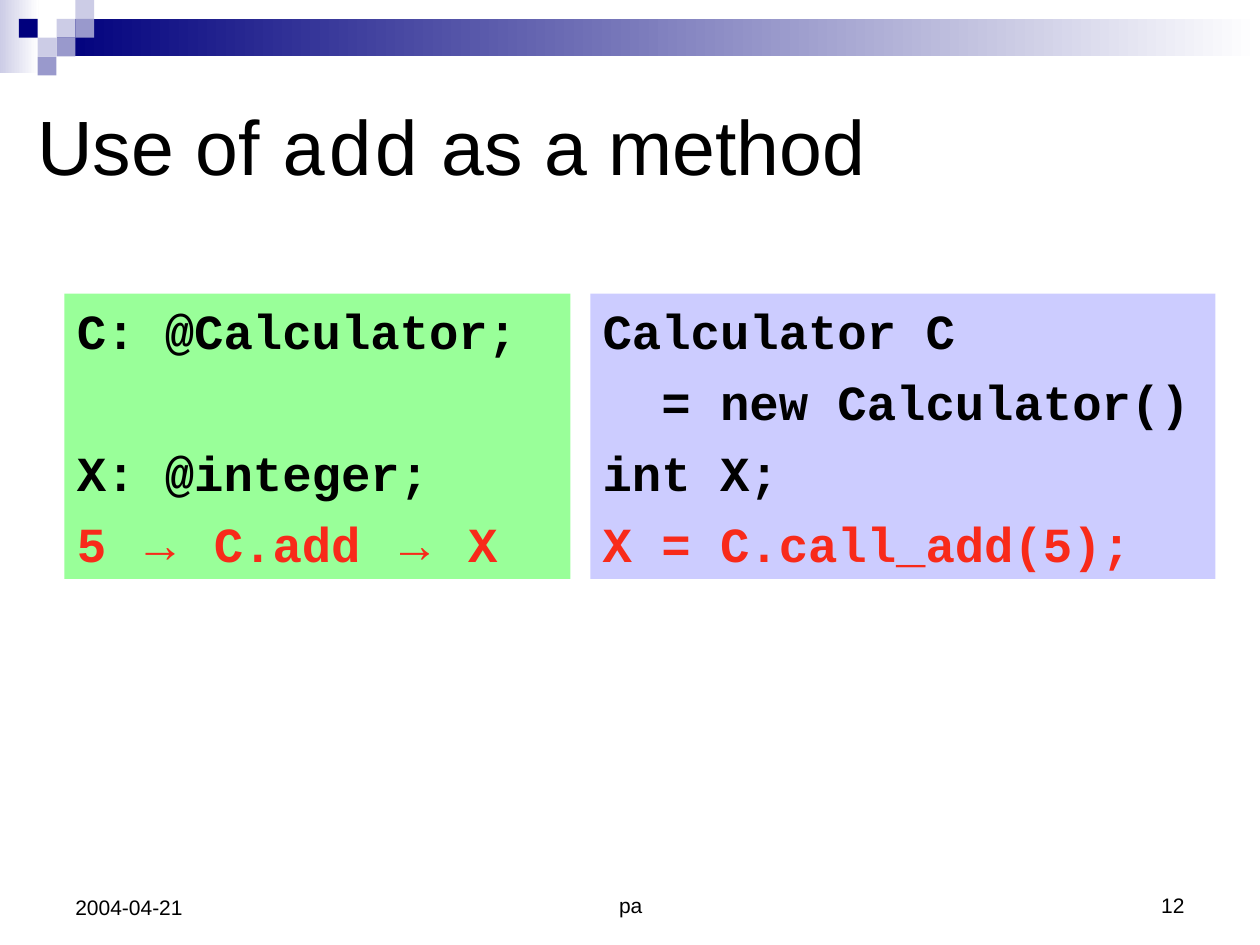
from pptx import Presentation
from pptx.dml.color import RGBColor
from pptx.enum.shapes import MSO_SHAPE
from pptx.enum.text import MSO_ANCHOR, MSO_AUTO_SIZE, PP_ALIGN
from pptx.util import Cm, Pt

COLORS = {
    "black": "000000", "white": "FFFFFF", "red": "F82A1A", "navy": "00007D",
    "pale": "CCCCE6", "lilac": "9999CC", "green": "99FF99", "lavender": "CCCCFF",
}
SANS, MONO = "Arial", "Courier New"

TITLE = [("Use of ", SANS), ("add", MONO), (" as a method", SANS)]

# Each line: space before in points, colour, runs
LINE_GAP = 7
EMPTY_LINE_GAP = 48  # one skipped code line plus the usual gaps
CODE_PANELS = [
    {"left": 1.3, "width": 10.2, "fill": "green", "lines": [
        (0, "black", [("C: @Calculator;", MONO)]),
        (EMPTY_LINE_GAP, "black", [("X: @integer;", MONO)]),
        (LINE_GAP, "red", [("5 ", MONO), ("→", SANS), (" C.add ", MONO),
                           ("→", SANS), (" X", MONO)]),
    ]},
    {"left": 11.9, "width": 12.6, "fill": "lavender", "lines": [
        (0, "black", [("Calculator C", MONO)]),
        (LINE_GAP, "black", [("  = new Calculator()", MONO)]),
        (LINE_GAP, "black", [("int X;", MONO)]),
        (LINE_GAP, "red", [("X = C.call_add(5);", MONO)]),
    ]},
]

# Text, left, width, height, alignment
FOOTERS = [
    ("2004-04-21", 1.27, 5.92, 1.32, PP_ALIGN.LEFT),
    ("pa", 8.69, 8.05, 1.27, PP_ALIGN.CENTER),
    ("12", 18.21, 5.92, 1.27, PP_ALIGN.RIGHT),
]

# Left, top, width, height, colour that fades to white
FADING_BANDS = [(0, 0, 0.78, 1.48, "pale"), (1.14, 0.38, 24.26, 0.75, "navy")]

# Column, row, colour
SQUARE = 0.38
SQUARES = [
    (3, 1, "pale"), (4, 0, "pale"), (4, 1, "lilac"), (2, 2, "pale"),
    (1, 1, "navy"), (3, 2, "lilac"), (2, 3, "lilac"),
]


def color(name):
    return RGBColor.from_string(COLORS[name])


def add_rectangle(slide, left, top, width, height, fill=None):
    shape = slide.shapes.add_shape(
        MSO_SHAPE.RECTANGLE, Cm(left), Cm(top), Cm(width), Cm(height))
    shape.shadow.inherit = False
    shape.line.fill.background()
    if fill:
        shape.fill.solid()
        shape.fill.fore_color.rgb = color(fill)
    return shape


def add_runs(paragraph, runs, size, color_name="black", bold=False):
    for text, font_name in runs:
        run = paragraph.add_run()
        run.text = text
        run.font.name = font_name
        run.font.size = Pt(size)
        run.font.bold = bold
        run.font.color.rgb = color(color_name)


def add_decoration(slide):
    for left, top, width, height, start in FADING_BANDS:
        band = add_rectangle(slide, left, top, width, height)
        band.fill.gradient()
        band.fill.gradient_angle = 0
        for stop, name in zip(band.fill.gradient_stops, (start, "white")):
            stop.color.rgb = color(name)
    for column, row, fill in SQUARES:
        add_rectangle(slide, column * SQUARE, row * SQUARE, SQUARE, SQUARE, fill)


def fill_title(slide):
    title = slide.shapes.title
    title.left, title.top, title.width, title.height = Cm(0.5), Cm(2.32), Cm(23), Cm(1.2)
    frame = title.text_frame
    frame.auto_size = MSO_AUTO_SIZE.NONE
    frame.vertical_anchor = MSO_ANCHOR.MIDDLE
    frame.paragraphs[0].alignment = PP_ALIGN.LEFT
    add_runs(frame.paragraphs[0], TITLE, 44)


def add_code_panel(slide, panel):
    shape = add_rectangle(slide, panel["left"], 5.92, panel["width"], 5.75, panel["fill"])
    frame = shape.text_frame
    frame.word_wrap = True
    frame.vertical_anchor = MSO_ANCHOR.TOP
    frame.margin_top = frame.margin_bottom = Cm(0.13)
    for index, (gap, color_name, runs) in enumerate(panel["lines"]):
        paragraph = frame.add_paragraph() if index else frame.paragraphs[0]
        paragraph.alignment = PP_ALIGN.LEFT
        paragraph.space_before = Pt(gap)
        add_runs(paragraph, runs, 28, color_name, bold=True)


def add_footer(slide, text, left, width, height, alignment):
    box = slide.shapes.add_textbox(Cm(left), Cm(17.35), Cm(width), Cm(height))
    frame = box.text_frame
    frame.word_wrap = True
    frame.vertical_anchor = MSO_ANCHOR.BOTTOM
    frame.paragraphs[0].alignment = alignment
    add_runs(frame.paragraphs[0], [(text, SANS)], 12)


def main():
    presentation = Presentation()
    presentation.slide_width, presentation.slide_height = Cm(25.4), Cm(19.05)
    slide = presentation.slides.add_slide(presentation.slide_layouts.get_by_name("Title Only"))
    add_decoration(slide)
    fill_title(slide)
    for panel in CODE_PANELS:
        add_code_panel(slide, panel)
    for footer in FOOTERS:
        add_footer(slide, *footer)
    presentation.save("out.pptx")


if __name__ == "__main__":
    main()
